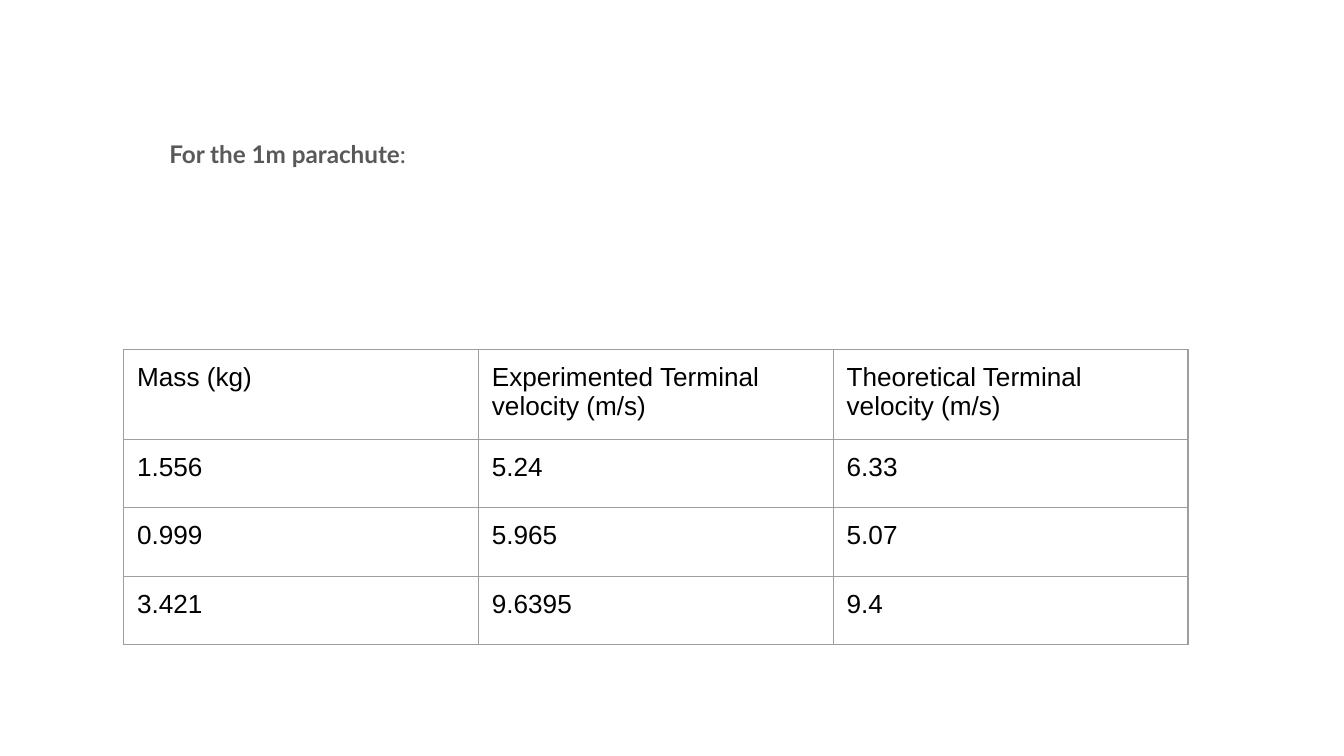
from dataclasses import dataclass

from lxml import etree
from pptx import Presentation
from pptx.dml.color import RGBColor
from pptx.enum.text import MSO_ANCHOR, MSO_AUTO_SIZE, PP_ALIGN
from pptx.oxml.ns import qn
from pptx.slide import Slide
from pptx.table import _Cell
from pptx.text.text import _Paragraph
from pptx.util import Inches, Pt

TOP = MSO_ANCHOR.TOP
GROW = MSO_AUTO_SIZE.SHAPE_TO_FIT_TEXT
LEFT = PP_ALIGN.LEFT
TITLE_ONLY = 5
SLIDE_WIDTH = Inches(10)
SLIDE_HEIGHT = SLIDE_WIDTH * 9 // 16
INSET = Inches(0.1)
BORDER_SIDES = ("a:lnL", "a:lnR", "a:lnT", "a:lnB")


@dataclass(frozen=True)
class TextStyle:
    font: str
    size: float
    color: str


@dataclass(frozen=True)
class Theme:
    heading: TextStyle = TextStyle("Lato", 13, "595959")
    cell: TextStyle = TextStyle("Arial", 14, "000000")
    border_color: str = "9E9E9E"
    border_width: float = 0.75


@dataclass(frozen=True)
class Measurement:
    mass: str
    experimented: str
    theoretical: str


THEME = Theme()
ROWS = [
    Measurement(
        "Mass (kg)",
        "Experimented Terminal velocity (m/s)",
        "Theoretical Terminal velocity (m/s)",
    ),
    Measurement("1.556", "5.24", "6.33"),
    Measurement("0.999", "5.965", "5.07"),
    Measurement("3.421", "9.6395", "9.4"),
]


def add_run(paragraph: _Paragraph, text: str, style: TextStyle, bold: bool = False) -> None:
    run = paragraph.add_run()
    run.text = text
    run.font.name = style.font
    run.font.size = Pt(style.size)
    run.font.bold = bold
    run.font.color.rgb = RGBColor.from_string(style.color)


def set_end_size(paragraph: _Paragraph, size: float) -> None:
    """Size the paragraph mark like its text, so it does not make the line taller."""
    etree.SubElement(paragraph._p, qn("a:endParaRPr"), sz=str(int(size * 100)))


def add_heading(slide: Slide) -> None:
    title = slide.shapes.title
    title.left, title.top = Inches(1.16), Inches(0.9)
    title.width, title.height = Inches(7.69), Inches(0.42)
    frame = title.text_frame
    frame.word_wrap = True
    frame.auto_size = GROW
    frame.vertical_anchor = TOP
    frame.margin_left = frame.margin_right = INSET
    frame.margin_top = frame.margin_bottom = INSET
    paragraph = frame.paragraphs[0]
    paragraph.alignment = LEFT
    paragraph.line_spacing = 1.15
    paragraph.space_after = Pt(12)
    add_run(paragraph, "For the 1m parachute", THEME.heading, bold=True)
    add_run(paragraph, ":", THEME.heading)
    set_end_size(paragraph, THEME.heading.size)


def set_borders(cell: _Cell) -> None:
    """Draw all four sides; lines must precede the fill in the cell properties."""
    properties = cell._tc.get_or_add_tcPr()
    for position, side in enumerate(BORDER_SIDES):
        line = etree.Element(qn(side), w=str(Pt(THEME.border_width)))
        fill = etree.SubElement(line, qn("a:solidFill"))
        etree.SubElement(fill, qn("a:srgbClr"), val=THEME.border_color)
        properties.insert(position, line)


def fill_cell(cell: _Cell, text: str) -> None:
    cell.margin_left = cell.margin_right = INSET
    cell.margin_top = cell.margin_bottom = INSET
    cell.vertical_anchor = TOP
    cell.fill.background()
    set_borders(cell)
    paragraph = cell.text_frame.paragraphs[0]
    add_run(paragraph, text, THEME.cell)
    set_end_size(paragraph, THEME.cell.size)


def add_velocity_table(slide: Slide, rows: list[Measurement]) -> None:
    column_count = 3
    table = slide.shapes.add_table(
        len(rows), column_count, Inches(0.92), Inches(2.6),
        Inches(2.64) * column_count, Inches(0.51) * len(rows),
    ).table
    table.first_row = False
    table.horz_banding = False
    for row, measurement in zip(table.rows, rows):
        texts = (measurement.mass, measurement.experimented, measurement.theoretical)
        for cell, text in zip(row.cells, texts):
            fill_cell(cell, text)


def main() -> None:
    presentation = Presentation()
    presentation.slide_width = SLIDE_WIDTH
    presentation.slide_height = SLIDE_HEIGHT
    slide = presentation.slides.add_slide(presentation.slide_layouts[TITLE_ONLY])
    add_velocity_table(slide, ROWS)
    add_heading(slide)
    presentation.save("out.pptx")


if __name__ == "__main__":
    main()
